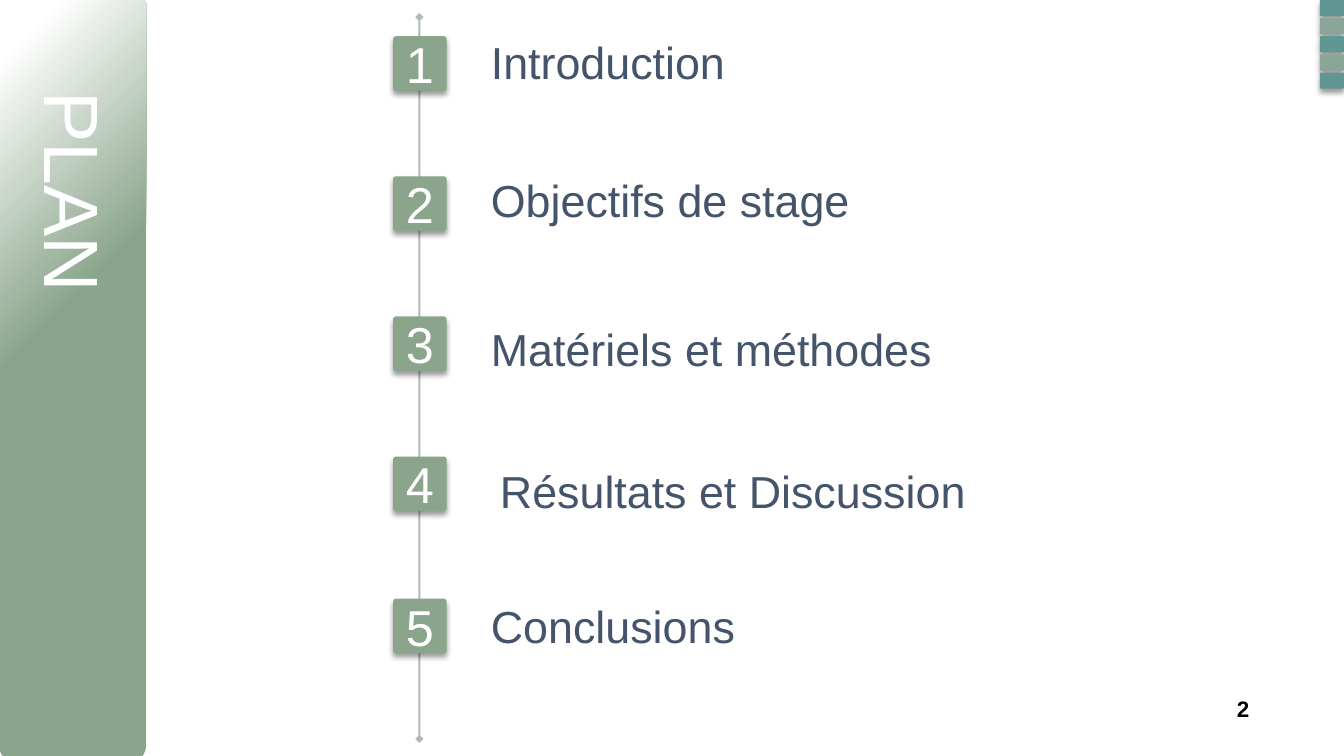
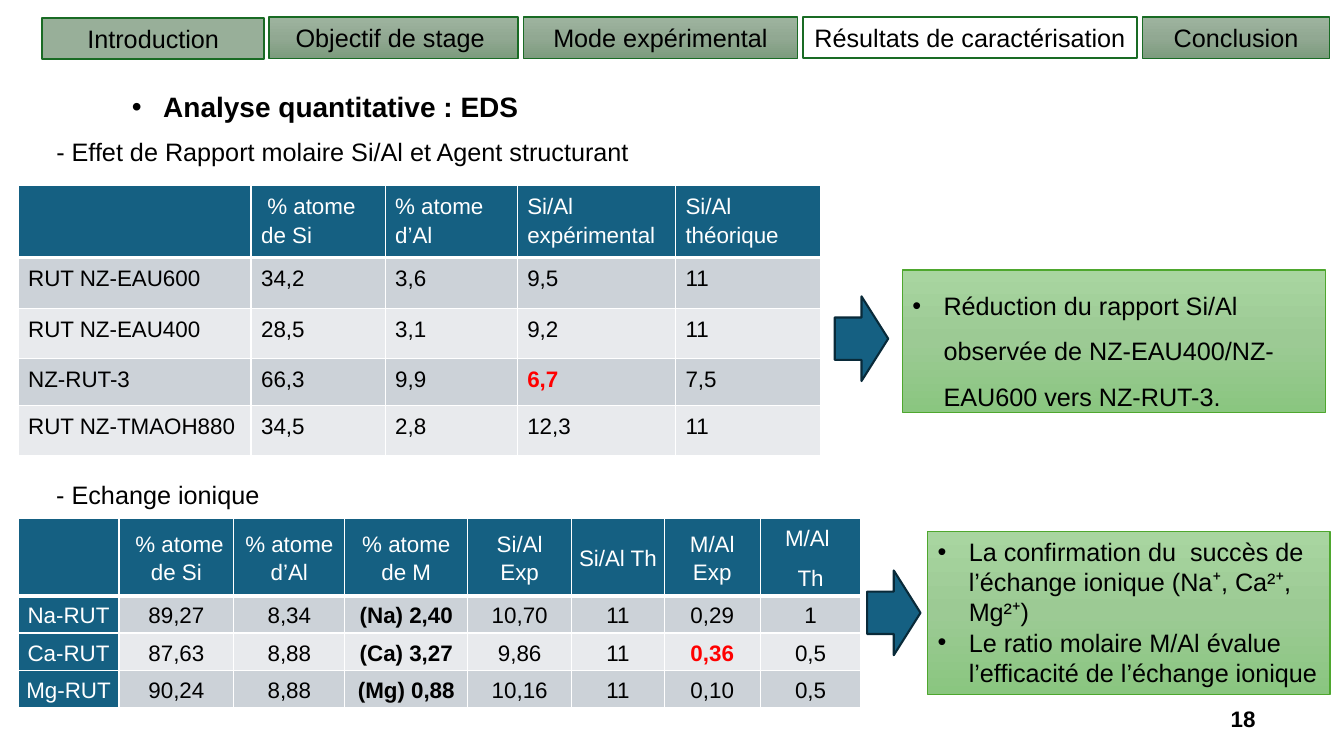
"""Build the plan slide and the EDS analysis slide."""
from pptx import Presentation as Deck
from pptx.dml.color import RGBColor as Rgb
from pptx.enum.shapes import MSO_CONNECTOR as Link, MSO_SHAPE as Kind
from pptx.enum.text import MSO_ANCHOR as Anchor, PP_ALIGN as Align
from pptx.oxml import parse_xml as xml
from pptx.oxml.ns import nsdecls, qn
from pptx.util import Inches, Pt

NS = nsdecls("a")
FONT = "Arial"
HUES = {
    "white": "FFFFFF", "black": "000000", "red": "FF0000", "slate": "44546A",
    "sage": "8AA58B", "mist": "8BA599", "teal": "619792", "pine": "0D3612",
    "blue": "156082", "navy": "092A39", "dark": "CCD2D8", "light": "E8EAED",
    "tab": "98AF99", "edge": "196B24", "leaf": "4EA72E",
}
LINEAR = '<a:lin ang="5400000" scaled="0"/>'
CORNER = '<a:path path="circle"><a:fillToRect r="100000" b="100000"/></a:path>'
FADES = {
    "side": (((8, "FFFFFF"), (42, "8AA58B"), (100, "8AA58B")), CORNER),
    "note": (((0, "A8D5A0"), (50, "9CCA94"), (100, "8AC680")), LINEAR),
    "step": (((0, "9EB49F"), (50, "91A892"), (100, "7D9C7E")), LINEAR),
}
PLAN = [
    (0.36, 4.77, 0.3, "Introduction"),
    (1.75, 4.77, 1.66, "Objectifs de stage"),
    (3.14, 4.77, 3.14, "Matériels et méthodes"),
    (4.53, 4.86, 4.55, "Résultats et Discussion"),
    (5.94, 4.77, 5.89, "Conclusions"),
]
TABS = [
    (0.42, 0.18, 2.2, "Introduction", "tab", 1.5),
    (2.67, 0.17, 2.47, "Objectif de stage ", "step", 1),
    (5.19, 0.17, 2.72, "Mode expérimental", "step", 1),
    (7.96, 0.17, 3.32, "Résultats de caractérisation ", None, 1.5),
    (11.33, 0.17, 1.86, "Conclusion", "step", 1),
]
RATIO = [
    ["", " % atome de Si", "% atome d’Al", "Si/Al expérimental", "Si/Al théorique"],
    ["RUT NZ-EAU600", "34,2", "3,6", "9,5", "11"],
    ["RUT NZ-EAU400", "28,5", "3,1", "9,2", "11"],
    ["NZ-RUT-3", "66,3", "9,9", "6,7", "7,5"],
    ["RUT NZ-TMAOH880", "34,5", "2,8", "12,3", "11"],
]
IONS = [
    ["", " % atome de Si", "% atome d’Al", "% atome de M", "Si/Al Exp",
     "Si/Al Th", "M/Al Exp", "M/Al \nTh"],
    ["Na-RUT", "89,27", "8,34", "(Na) 2,40", "10,70", "11", "0,29", "1"],
    ["Ca-RUT", "87,63", "8,88", "(Ca) 3,27", "9,86", "11", "0,36", "0,5"],
    ["Mg-RUT", "90,24", "8,88", "(Mg) 0,88", "10,16", "11", "0,10", "0,5"],
]


def hue(name):
    """Return the colour of that name."""
    return Rgb.from_string(HUES[name])


def write(frame, text, size=18, color="black", bold=False, align=Align.LEFT,
          lead=None, after=None, bullet=False):
    """Fill a text frame, one paragraph per line of text."""
    for i, line in enumerate(text.split("\n")):
        para = frame.paragraphs[0] if i == 0 else frame.add_paragraph()
        para.alignment = align
        if bullet:
            props = para._p.get_or_add_pPr()
            props.set("marL", str(Inches(0.31)))
            props.set("indent", str(Inches(-0.31)))
            props.append(xml(f'<a:buFont {NS} typeface="{FONT}"/>'))
            props.append(xml(f'<a:buChar {NS} char="•"/>'))
        if lead:
            para.line_spacing = lead
        if after:
            para.space_after = Pt(after)
        run = para.add_run()
        run.text = line
        font = run.font
        font.name, font.size, font.bold = FONT, Pt(size), bold
        font.color.rgb = hue(color)


def label(slide, at, text, anchor=Anchor.TOP, vert=None, **form):
    """Add a wrapped text box."""
    frame = slide.shapes.add_textbox(*map(Inches, at)).text_frame
    frame.word_wrap = True
    frame.vertical_anchor = anchor
    if vert:
        frame._txBody.bodyPr.set("vert", vert)
    write(frame, text, **form)


def fade(shape, name):
    """Give a shape one of the named gradients."""
    stops, way = FADES[name]
    marks = "".join(f'<a:gs pos="{pos * 1000}"><a:srgbClr val="{val}"/></a:gs>'
                    for pos, val in stops)
    shape.fill.background()
    blank = shape._element.spPr.find(qn("a:noFill"))
    blank.getparent().replace(blank, xml(
        f'<a:gradFill {NS} rotWithShape="1"><a:gsLst>{marks}</a:gsLst>{way}</a:gradFill>'))


def block(slide, kind, at, fill=None, edge=None, width=1, bend=None,
          shade=False, text=None, anchor=Anchor.TOP, **form):
    """Add a preset shape with its fill, outline, shadow and text."""
    shape = slide.shapes.add_shape(kind, *map(Inches, at))
    shape.shadow.inherit = False
    if bend is not None:
        shape.adjustments[0] = bend
    if fill in FADES:
        fade(shape, fill)
    elif fill:
        shape.fill.solid()
        shape.fill.fore_color.rgb = hue(fill)
    else:
        shape.fill.background()
    if edge:
        shape.line.color.rgb = hue(edge)
        shape.line.width = Pt(width)
    else:
        shape.line.fill.background()
    if shade:
        shape._element.spPr.find(qn("a:effectLst")).append(xml(
            f'<a:outerShdw {NS} blurRad="{Pt(4)}" dist="{Pt(3)}" dir="5400000" rotWithShape="0">'
            '<a:srgbClr val="000000"><a:alpha val="40000"/></a:srgbClr></a:outerShdw>'))
    if text:
        shape.text_frame.word_wrap = True
        shape.text_frame.vertical_anchor = anchor
        write(shape.text_frame, text, **form)


def stem(slide, x, top, end):
    """Add the pale upright line with diamond ends."""
    line = slide.shapes.add_connector(
        Link.STRAIGHT, Inches(x), Inches(top), Inches(x), Inches(end))
    line.line.color.rgb = hue("pine")
    line.line.width = Pt(1.5)
    props = line._element.spPr
    pen = props.find(qn("a:ln"))
    pen.find(".//" + qn("a:srgbClr")).append(xml(f'<a:alpha {NS} val="33000"/>'))
    for end in ("headEnd", "tailEnd"):
        pen.append(xml(f'<a:{end} {NS} type="diamond"/>'))
    props.append(xml(f"<a:effectLst {NS}/>"))


def frame(cell, head):
    """Draw the white borders of a cell, thick below the header."""
    props = cell._tc.get_or_add_tcPr()
    for row_edge in "LRTB":
        wide = 3 if head and row_edge == "B" else 1
        props.append(xml(
            f'<a:ln{row_edge} {NS} w="{Pt(wide)}"><a:solidFill>'
            f'<a:srgbClr val="{HUES["white"]}"/></a:solidFill></a:ln{row_edge}>'))


def grid(slide, x, y, rows, cols, highs, hot, side=False, tight=False):
    """Add a banded table; hot is the value to stress in red."""
    table = slide.shapes.add_table(
        len(rows), len(cols), Inches(x), Inches(y),
        Inches(sum(cols)), Inches(sum(highs))).table
    for col, size in zip(table.columns, cols):
        col.width = Inches(size)
    for r, row in enumerate(rows):
        table.rows[r].height = Inches(highs[r])
        for c, text in enumerate(row):
            cell = table.cell(r, c)
            head = r == 0 or side and c == 0
            frame(cell, r == 0)
            cell.fill.solid()
            cell.fill.fore_color.rgb = hue("blue" if head else "dark" if r % 2 else "light")
            if tight:
                cell.vertical_anchor = Anchor.MIDDLE
                cell.margin_left = cell.margin_right = Inches(0.07)
                cell.margin_top = cell.margin_bottom = 0
            if text:
                write(cell.text_frame, text, size=16, lead=1.15, after=8,
                      color="white" if head else "red" if text == hot else "black",
                      bold=text == hot or text.startswith("("),
                      align=Align.CENTER if tight else Align.LEFT)


def page(slide, x, y, num):
    """Add the page number."""
    label(slide, (x, y, 3, 0.4), num, size=16, bold=True,
          align=Align.RIGHT, anchor=Anchor.MIDDLE)


def note(slide, at, text, **form):
    """Add a green box of bullets."""
    block(slide, Kind.RECTANGLE, at, "note", "leaf", text=text, bullet=True, **form)


def arrow(slide, x, y):
    """Add a blue arrow from a table to its note."""
    block(slide, Kind.RIGHT_ARROW, (x, y, 0.53, 0.84), "blue", "navy", 1.5)


def outline(slide):
    """Build the plan slide."""
    block(slide, Kind.ROUNDED_RECTANGLE, (-0.01, -0.13, 1.46, 7.7), "side", bend=0.12)
    stem(slide, 4.16, 0.17, 7.33)
    label(slide, (0.12, 0.81, 1.13, 4.94), "PLAN", size=55, color="white", vert="eaVert")
    for num, (top, x, y, text) in enumerate(PLAN, 1):
        block(slide, Kind.ROUNDED_RECTANGLE, (3.9, top, 0.53, 0.54), "sage",
              bend=0.05, shade=True, text=str(num), size=36, color="white",
              align=Align.CENTER, anchor=Anchor.MIDDLE)
        label(slide, (x, y, 5.28, 0.64), text, size=32, color="slate")
    for i in range(5):
        block(slide, Kind.ROUNDED_RECTANGLE, (13.09, 0.18 * i, 0.24, 0.16),
              "mist" if i % 2 else "teal", bend=0.05, shade=True)
    page(slide, 9.49, 6.83, "2")


def results(slide):
    """Build the EDS analysis slide."""
    for x, y, wide, text, fill, width in TABS:
        block(slide, Kind.RECTANGLE, (x, y, wide, 0.41), fill, "edge", width,
              text=text, align=Align.CENTER)
    label(slide, (1.21, 0.84, 4.99, 0.44), "Analyse quantitative : EDS",
          size=20, bold=True, bullet=True)
    label(slide, (0.46, 1.3, 6.78, 0.4),
          "- Effet de Rapport molaire Si/Al et Agent structurant")
    grid(slide, 0.18, 1.84, RATIO, [2.31, 1.33, 1.31, 1.57, 1.44],
         [0.65, 0.51, 0.49, 0.47, 0.5], "6,7")
    arrow(slide, 8.28, 2.94)
    note(slide, (8.95, 2.68, 4.2, 1.41),
         "Réduction du rapport Si/Al observée de NZ-EAU400/NZ-EAU600 vers NZ-RUT-3.",
         lead=1.5)
    label(slide, (0.46, 4.71, 2.47, 0.4), "- Echange ionique")
    grid(slide, 0.18, 5.14, IONS, [1, 1.14, 1.1, 1.22, 1.03, 0.92, 0.95, 1],
         [0.77, 0.37, 0.37, 0.37], "0,36", side=True, tight=True)
    arrow(slide, 8.6, 5.66)
    note(slide, (9.2, 5.27, 3.99, 1.62),
         "La confirmation du  succès de l’échange ionique (Na⁺, Ca²⁺, Mg²⁺)\n"
         "Le ratio molaire M/Al évalue l’efficacité de l’échange ionique")
    page(slide, 9.55, 6.93, "18")


def main():
    """Build and save the deck."""
    deck = Deck()
    deck.slide_width, deck.slide_height = Inches(13.33), Inches(7.5)
    for build in (outline, results):
        build(deck.slides.add_slide(deck.slide_layouts[6]))
    deck.save("out.pptx")


if __name__ == "__main__":
    main()
